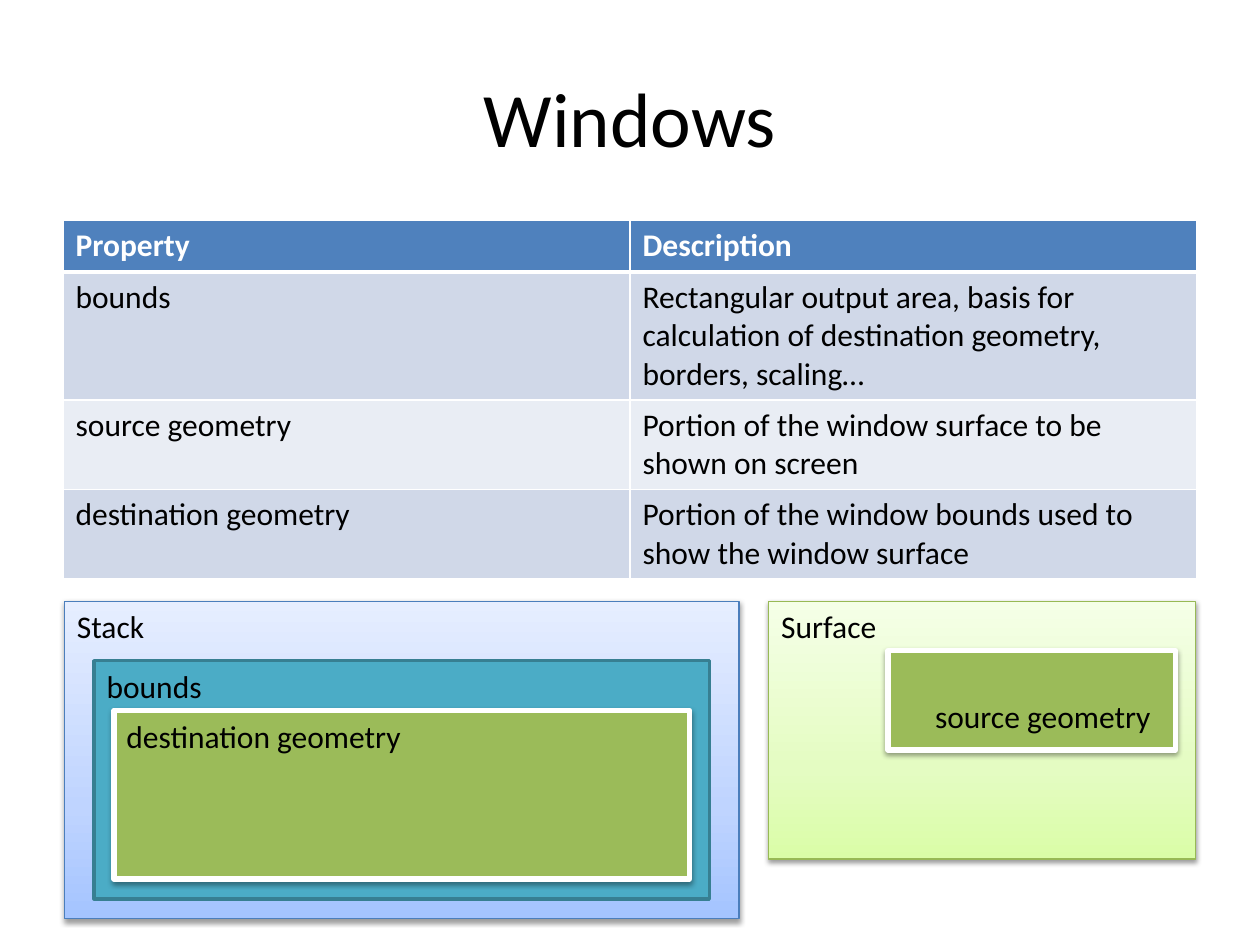
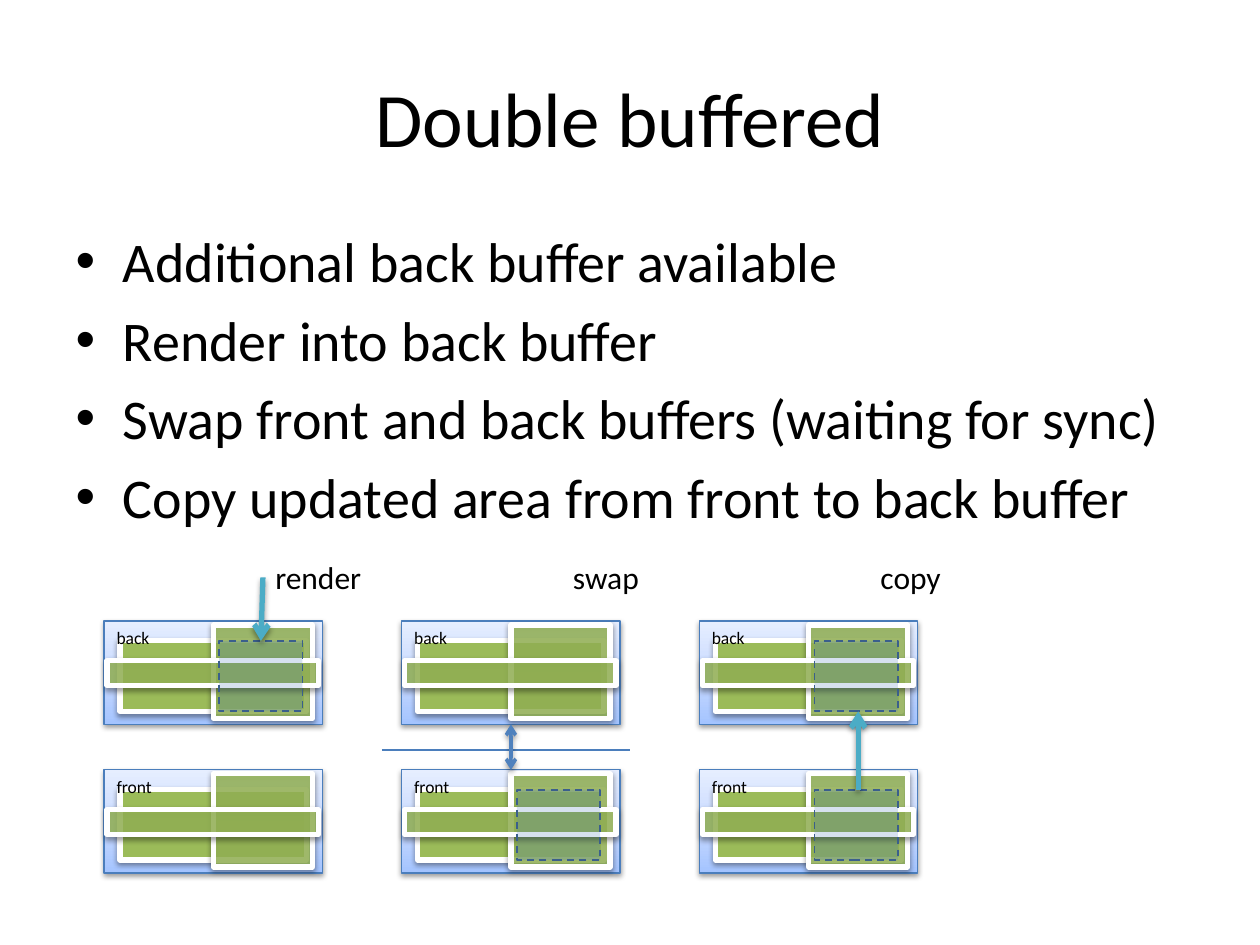
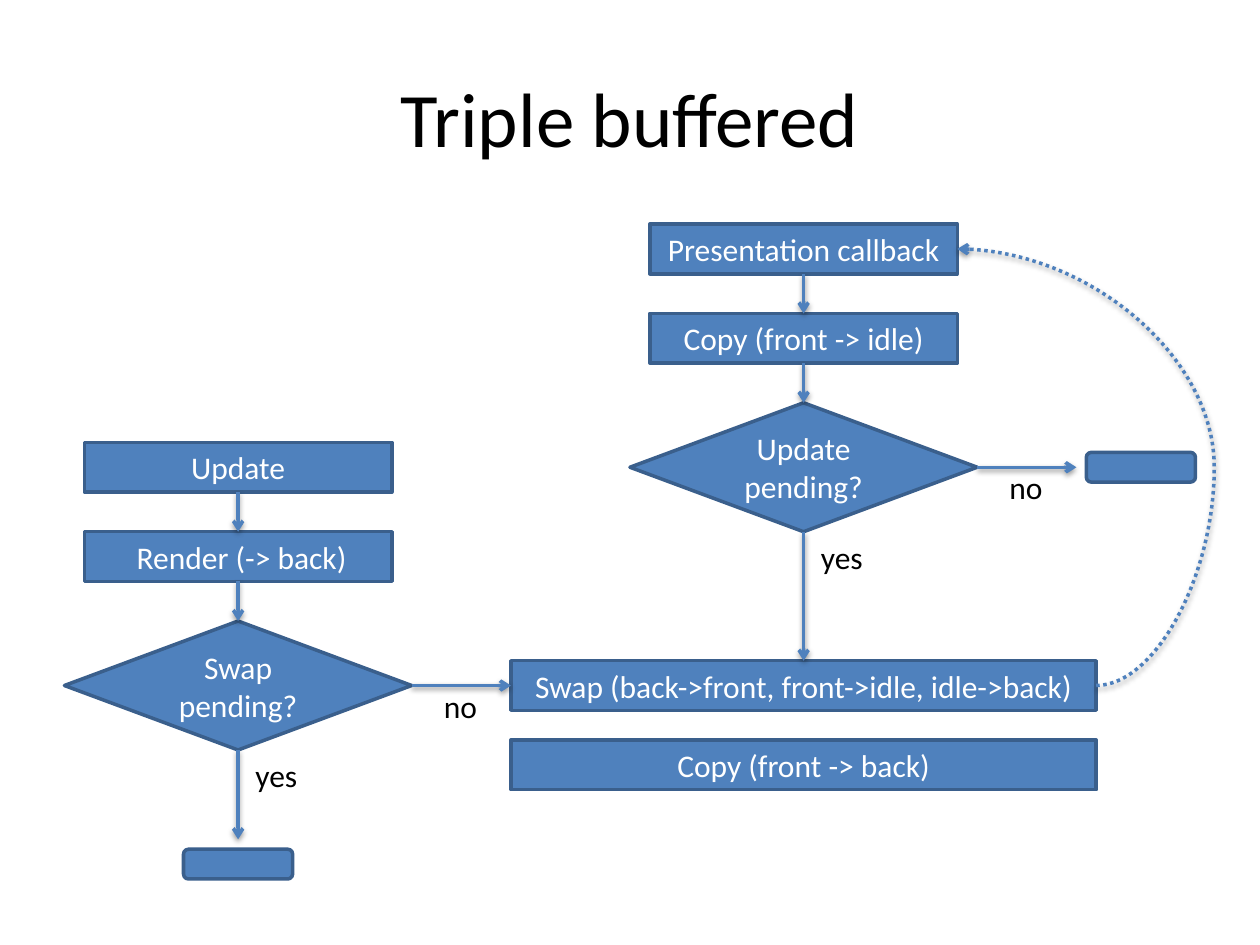
from dataclasses import dataclass

from lxml import etree
from pptx import Presentation
from pptx.dml.color import RGBColor
from pptx.enum.dml import MSO_LINE
from pptx.enum.shapes import MSO_CONNECTOR, MSO_SHAPE
from pptx.enum.text import MSO_ANCHOR, MSO_AUTO_SIZE, PP_ALIGN
from pptx.oxml.ns import qn
from pptx.util import Cm, Inches, Pt

RECTANGLE = MSO_SHAPE.RECTANGLE
PROCESS = MSO_SHAPE.FLOWCHART_PROCESS
DECISION = MSO_SHAPE.FLOWCHART_DECISION
TERMINAL = MSO_SHAPE.FLOWCHART_ALTERNATE_PROCESS
STRAIGHT = MSO_CONNECTOR.STRAIGHT
CURVE = MSO_CONNECTOR.CURVE
DASH = MSO_LINE.DASH
DOTS = MSO_LINE.ROUND_DOT
CENTER = PP_ALIGN.CENTER
MIDDLE = MSO_ANCHOR.MIDDLE
GROW = MSO_AUTO_SIZE.SHAPE_TO_FIT_TEXT
TOP, LEFT, BOTTOM, RIGHT = range(4)
TITLE_AND_CONTENT, TITLE_ONLY = 1, 5


@dataclass(frozen=True)
class Theme:
    font: str = "Calibri"
    title_size: int = 44
    body_size: int = 32
    text_size: int = 18
    small_size: int = 10
    black: str = "000000"
    white: str = "FFFFFF"
    blue: str = "4F81BD"
    dark_blue: str = "3A5F8C"
    edge_blue: str = "4B7EBC"
    teal: str = "4BACC6"
    dark_teal: str = "377F92"
    green: str = "9BBB59"
    edge_green: str = "98B955"
    row_colors: tuple = ("D0D8E8", "E9EDF4")
    blue_gradient: tuple = ((0, "A4C4FF"), (35, "BFD4FF"), (100, "E6EEFF"))
    green_gradient: tuple = ((0, "DAFDA7"), (35, "E4FCC2"), (100, "F5FFE7"))


THEME = Theme()
SLIDE_SIZE = Inches(10), Inches(7.5)
TITLE_BOX = [Inches(length) for length in (0.5, 0.3, 9, 1.25)]
BODY_BOX = [Inches(length) for length in (0.5, 1.75, 9, 4.95)]
CELL = Cm(0.4)
GRID_LEFT, GRID_TOP = Cm(0.1), Cm(0.12)


def grid_point(column, row):
    return GRID_LEFT + round(column * CELL), GRID_TOP + round(row * CELL)


def grid_box(column, row, columns, rows):
    return *grid_point(column, row), round(columns * CELL), round(rows * CELL)


def add_element(parent, tag, **attributes):
    values = {name: str(value) for name, value in attributes.items()}
    return etree.SubElement(parent, qn(tag), values)


def add_color(parent, color, alpha=100):
    element = add_element(parent, "a:srgbClr", val=color)
    if alpha < 100:
        add_element(element, "a:alpha", val=alpha * 1000)


def set_text(frame, lines, size=THEME.text_size, color=THEME.black,
             bold=False, align=None, anchor=None, wrap=True):
    frame.word_wrap = wrap
    if anchor is not None:
        frame.vertical_anchor = anchor
    for index, line in enumerate(lines):
        paragraph = frame.add_paragraph() if index else frame.paragraphs[0]
        paragraph.alignment = align
        run = paragraph.add_run()
        run.text = line
        run.font.name = THEME.font
        run.font.size = Pt(size)
        run.font.bold = bold
        run.font.color.rgb = RGBColor.from_string(color)


def set_line(line, color, width, dash=None):
    line.color.rgb = RGBColor.from_string(color)
    line.width = Pt(width)
    if dash:
        line.dash_style = dash


def set_effects(shape, shadow):
    effects = add_element(shape._element.spPr, "a:effectLst")
    if shadow:
        outer = add_element(effects, "a:outerShdw", blurRad=Pt(3.1),
                            dist=Pt(1.6), dir=90 * 60000, rotWithShape=0)
        add_color(outer, THEME.black, 38)


def set_gradient(shape, stops):
    shape.fill.gradient()
    shape.fill.gradient_angle = 90
    stop_list = shape._element.spPr.find(".//" + qn("a:gsLst"))
    for stop in list(stop_list):
        stop_list.remove(stop)
    for position, color in stops:
        add_color(add_element(stop_list, "a:gs", pos=position * 1000), color)


def set_solid(shape, color, alpha):
    shape.fill.solid()
    shape.fill.fore_color.rgb = RGBColor.from_string(color)
    if alpha < 100:
        fill = shape._element.spPr.find(qn("a:solidFill"))
        add_element(fill[0], "a:alpha", val=alpha * 1000)


def add_block(shapes, box, fill, line, width, kind=RECTANGLE, alpha=100,
              dash=None, shadow=False, text=None):
    shape = shapes.add_shape(kind, *grid_box(*box))
    if isinstance(fill, tuple):
        set_gradient(shape, fill)
    else:
        set_solid(shape, fill, alpha)
    set_line(shape.line, line, width, dash)
    set_effects(shape, shadow)
    if text:
        set_text(shape.text_frame, [text], color=THEME.white,
                 align=CENTER, anchor=MIDDLE)
    return shape


def add_window(shapes, box, alpha=100):
    add_block(shapes, box, THEME.green, THEME.white, 3, alpha=alpha, shadow=True)


def add_flow(slide, box, text=None, kind=PROCESS):
    return add_block(slide.shapes, box, THEME.blue, THEME.dark_blue, 2,
                     kind=kind, text=text)


def add_label(slide, text, column, row, columns=9, rows=2.5, **text_format):
    box = slide.shapes.add_textbox(*grid_box(column, row, columns, rows))
    set_text(box.text_frame, [text], **text_format)
    box.text_frame.auto_size = GROW


def end_point(end):
    shape, site = end
    return (0, 0) if hasattr(shape, "shape_id") else grid_point(shape, site)


def add_line(slide, start, end, color=THEME.blue, width=2, kind=STRAIGHT,
             dash=None, head=False, tail=True, shadow=True, bend=None):
    connector = slide.shapes.add_connector(kind, *end_point(start), *end_point(end))
    if hasattr(start[0], "shape_id"):
        connector.begin_connect(*start)
    if hasattr(end[0], "shape_id"):
        connector.end_connect(*end)
    set_line(connector.line, color, width, dash)
    properties = connector._element.spPr
    for tag, wanted in (("a:headEnd", head), ("a:tailEnd", tail)):
        if wanted:
            add_element(properties.find(qn("a:ln")), tag, type="arrow")
    if bend is not None:
        adjustments = properties.find(".//" + qn("a:avLst"))
        add_element(adjustments, "a:gd", name="adj1", fmla=f"val {bend * 1000}")
    set_effects(connector, shadow)


def add_titled_slide(presentation, title, layout=TITLE_ONLY):
    slide = presentation.slides.add_slide(presentation.slide_layouts[layout])
    place_text(slide.shapes.title, TITLE_BOX, [title], size=THEME.title_size,
               align=CENTER, anchor=MIDDLE)
    return slide


def place_text(placeholder, box, lines, **text_format):
    placeholder.left, placeholder.top, placeholder.width, placeholder.height = box
    set_text(placeholder.text_frame, lines, **text_format)


def set_cell_borders(cell, top, bottom):
    properties = cell._tc.get_or_add_tcPr()
    widths = {"a:lnL": 1, "a:lnR": 1, "a:lnT": top, "a:lnB": bottom}
    for tag, width in widths.items():
        border = add_element(properties, tag, w=Pt(width))
        add_color(add_element(border, "a:solidFill"), THEME.white)


def add_property_table(slide, rows):
    left, top, width, _ = BODY_BOX
    row_height = Inches(0.41)
    table = slide.shapes.add_table(len(rows), len(rows[0]), left, top, width,
                                   row_height * len(rows)).table
    for row_index, row in enumerate(rows):
        header = row_index == 0
        fill = THEME.blue if header else THEME.row_colors[(row_index - 1) % 2]
        for column_index, text in enumerate(row):
            cell = table.cell(row_index, column_index)
            set_cell_borders(cell, 3 if row_index == 1 else 1, 3 if header else 1)
            cell.fill.solid()
            cell.fill.fore_color.rgb = RGBColor.from_string(fill)
            set_text(cell.text_frame, [text], bold=header,
                     color=THEME.white if header else THEME.black)


def add_buffer(slide, name, column, row, updated):
    shapes = slide.shapes.add_group_shape().shapes
    add_block(shapes, (column, row, 11, 5.2), THEME.blue_gradient,
              THEME.edge_blue, 0.75, shadow=True)
    add_window(shapes, (column + 0.8, row + 1, 9.4, 3.55))
    add_window(shapes, (column + 5.5, row + 0.2, 5, 4.7), alpha=80)
    add_window(shapes, (column + 0.15, row + 2, 10.65, 1.25), alpha=80)
    if updated:
        add_block(shapes, (column + 5.8, row + 1, 4.2, 3.55), THEME.blue,
                  THEME.dark_blue, 1, alpha=23, dash=DASH)
    add_label(slide, name, column, row, 5, 1.7, size=THEME.small_size)


def add_decision_flow(slide, column, row, first, second, question):
    start = add_flow(slide, (column + 1, row, 15.5, 2.5), first)
    step = add_flow(slide, (column + 1, row + 4.5, 15.5, 2.5), second)
    decision = add_flow(slide, (column, row + 9, 17.5, 6.5), question, DECISION)
    add_line(slide, (start, BOTTOM), (step, TOP))
    add_line(slide, (step, BOTTOM), (decision, TOP))
    add_label(slide, "no", column + 18.5, row + 12, 3, wrap=False)
    add_label(slide, "yes", column + 9, row + 15.5, 5)
    return start, decision


def build_windows(presentation):
    slide = add_titled_slide(presentation, "Windows")
    add_property_table(slide, [
        ("Property", "Description"),
        ("bounds", "Rectangular output area, basis for calculation of "
                   "destination geometry, borders, scaling…"),
        ("source geometry", "Portion of the window surface to be shown on screen"),
        ("destination geometry",
         "Portion of the window bounds used to show the window surface"),
    ])
    add_block(slide.shapes, (3, 30, 34, 16), THEME.blue_gradient,
              THEME.edge_blue, 0.75, shadow=True)
    add_block(slide.shapes, (4.5, 33, 31, 12), THEME.teal, THEME.dark_teal, 2)
    add_window(slide.shapes, (5.5, 35.5, 29, 8.5))
    add_block(slide.shapes, (38.5, 30, 21.5, 13), THEME.green_gradient,
              THEME.edge_green, 0.75, shadow=True)
    add_window(slide.shapes, (44.5, 32.5, 14.5, 5))
    add_label(slide, "Stack", 3, 30)
    add_label(slide, "bounds", 4.5, 33)
    add_label(slide, "destination geometry", 5.5, 35.5, 17)
    add_label(slide, "Surface", 38.5, 30)
    add_label(slide, "source geometry", 46.25, 34.5, 17)


def build_double_buffered(presentation):
    slide = add_titled_slide(presentation, "Double buffered", TITLE_AND_CONTENT)
    place_text(slide.placeholders[1], BODY_BOX, [
        "Additional back buffer available",
        "Render into back buffer",
        "Swap front and back buffers (waiting for sync)",
        "Copy updated area from front to back buffer",
    ], size=THEME.body_size)
    stages = [
        ("render", 13, 5.65, True, False),
        ("swap", 28, 4.65, False, True),
        ("copy", 43.5, 4.4, True, True),
    ]
    for index, (name, column, columns, back, front) in enumerate(stages):
        buffer_column = 5 + 15 * index
        add_buffer(slide, "back", buffer_column, 31, back)
        add_buffer(slide, "front", buffer_column, 38.5, front)
        add_label(slide, name, column, 27.5, columns, wrap=False)
    add_line(slide, (13, 28.8), (12.9, 32), THEME.teal, 3)
    add_line(slide, (43, 39.5), (43, 35.55), THEME.teal, 3)
    add_line(slide, (19, 37.5), (31.5, 37.5), THEME.edge_blue, 0.75,
             tail=False, shadow=False)
    add_line(slide, (25.5, 36.2), (25.5, 38.5), head=True)


def build_triple_buffered(presentation):
    slide = add_titled_slide(presentation, "Triple buffered")
    _, swap_pending = add_decision_flow(
        slide, 3, 22, "Update", " Render (-> back)", "Swap pending?")
    callback, update_pending = add_decision_flow(
        slide, 31.5, 11, "Presentation callback", "Copy (front -> idle)",
        "Update pending?")
    swap = add_flow(slide, (25.5, 33, 29.5, 2.5),
                    "Swap (back->front, front->idle, idle->back)")
    add_flow(slide, (25.5, 37, 29.5, 2.5), "Copy (front -> back)")
    add_flow(slide, (9, 42.5, 5.5, 1.5), kind=TERMINAL)
    add_flow(slide, (54.5, 22.5, 5.5, 1.5), kind=TERMINAL)
    add_line(slide, (swap_pending, RIGHT), (swap, LEFT))
    add_line(slide, (swap_pending, BOTTOM), (11.75, 42))
    add_line(slide, (update_pending, RIGHT), (54, 23.25))
    add_line(slide, (update_pending, BOTTOM), (swap, TOP))
    add_line(slide, (swap, RIGHT), (callback, RIGHT), kind=CURVE, dash=DOTS, bend=-85)


def main():
    presentation = Presentation()
    presentation.slide_width, presentation.slide_height = SLIDE_SIZE
    build_windows(presentation)
    build_double_buffered(presentation)
    build_triple_buffered(presentation)
    presentation.save("out.pptx")


if __name__ == "__main__":
    main()
